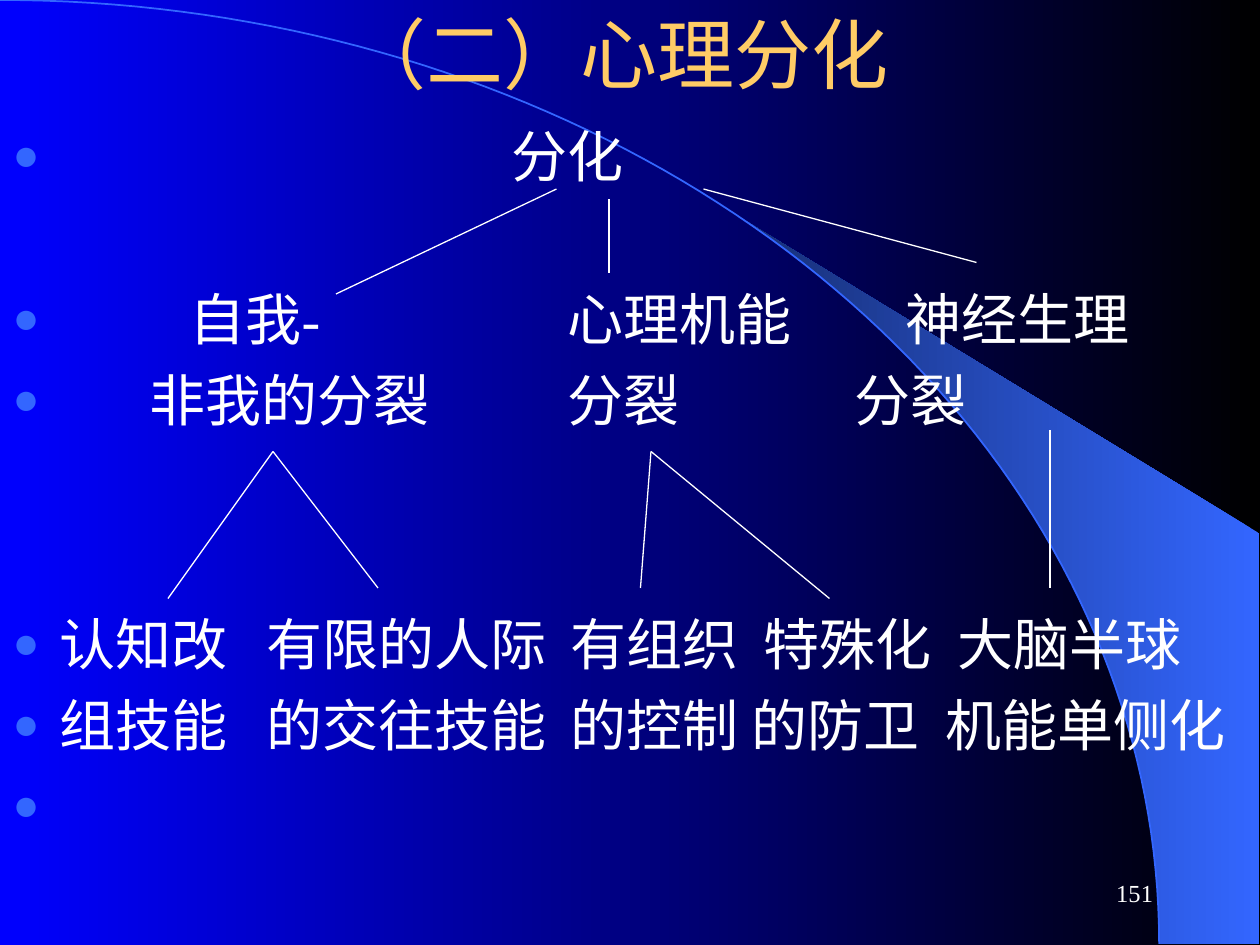
import math

import lxml.etree
import pptx
import pptx.dml.color
import pptx.enum.shapes
import pptx.enum.text
import pptx.oxml.ns
import pptx.util

Pt = pptx.util.Pt
TITLE = "（二）心理分化"
PAGE_NUMBER = "151"
ROWS = [
    (0, [(285, "分化")]),
    (54.5, [(101, "自我-"), (317, "心理机能"), (510, "神经生理")]),
    (8, [(78, "非我的分裂"), (317, "分裂"), (481, "分裂")]),
    (101, [(27, "认知改"), (145, "有限的人际"), (319, "有组织"),
           (429, "特殊化"), (540, "大脑半球")]),
    (8, [(27, "组技能"), (145, "的交往技能"), (319, "的控制"),
         (422, "的防卫"), (533, "机能单侧化")]),
    (8, []),
]
BRANCHES = [
    ((318, 108), [(192, 168)]),
    ((348, 114), [(348, 156)]),
    ((402, 108), [(558, 150)]),
    ((156, 258), [(96, 342), (216, 336)]),
    ((372, 258), [(366, 336), (474, 342)]),
    ((600, 246), [(600, 336)]),
]
ARC_WIDTH, ARC_HEIGHT = 662.4, 539.3
WEDGE_START = math.asin(424 / ARC_WIDTH)
WEDGE_CORNERS = [(719.3, 539.3), (719.3, 304.6)]
WHITE, BLUE, GOLD = "FFFFFF", "3366FF", "FFCC66"


def color(value):
    return pptx.dml.color.RGBColor.from_string(value)


def set_gradient(fill, start, end):
    fill.gradient()
    fill.gradient_angle = 180
    for stop, value in zip(fill.gradient_stops, (start, end)):
        stop.color.rgb = color(value)


def set_font(paragraph, name, size, value):
    for run in paragraph.runs:
        run.font.name = name
        run.font.size = Pt(size)
        run.font.color.rgb = color(value)


def place(shape, left, top, width, height):
    shape.left, shape.top = Pt(left), Pt(top)
    shape.width, shape.height = Pt(width), Pt(height)


def add_element(parent, tag, **attributes):
    return lxml.etree.SubElement(parent, pptx.oxml.ns.qn(tag), attributes)


def add_bullet_and_tabs(paragraph, positions):
    properties = paragraph._p.get_or_add_pPr()
    properties.set("marL", "0")
    properties.set("indent", "0")
    add_element(add_element(properties, "a:buClr"), "a:srgbClr", val=BLUE)
    add_element(properties, "a:buSzPct", val="80000")
    add_element(properties, "a:buFont", typeface="Times New Roman")
    add_element(properties, "a:buChar", char="●")
    if positions:
        tabs = add_element(properties, "a:tabLst")
        for position in positions:
            add_element(tabs, "a:tab", pos=str(Pt(position)), algn="l")


def arc_points(start, steps):
    angles = [start + (math.pi / 2 - start) * step / steps for step in range(steps + 1)]
    return [(ARC_WIDTH * math.sin(angle), ARC_HEIGHT * (1 - math.cos(angle)))
            for angle in angles]


def add_outline(slide, points, close):
    points = [(Pt(x), Pt(y)) for x, y in points]
    builder = slide.shapes.build_freeform(*points[0])
    builder.add_line_segments(points[1:], close=close)
    shape = builder.convert_to_shape()
    shape.shadow.inherit = False
    slide.shapes.title.element.addprevious(shape.element)
    return shape


def add_backdrop(slide):
    set_gradient(slide.background.fill, "000000", "0000FF")
    wedge = add_outline(slide, arc_points(WEDGE_START, 30) + WEDGE_CORNERS, True)
    set_gradient(wedge.fill, BLUE, "172F75")
    wedge.line.fill.background()
    arc = add_outline(slide, arc_points(0, 80), False)
    arc.fill.background()
    arc.line.color.rgb = color(BLUE)
    arc.line.width = Pt(1)


def add_title(slide):
    title = slide.shapes.title
    place(title, 48, 0, 612, 60)
    frame = title.text_frame
    frame.text = TITLE
    frame.auto_size = pptx.enum.text.MSO_AUTO_SIZE.NONE
    frame.vertical_anchor = pptx.enum.text.MSO_ANCHOR.MIDDLE
    frame.paragraphs[0].alignment = pptx.enum.text.PP_ALIGN.CENTER
    set_font(frame.paragraphs[0], "Arial", 44, GOLD)


def add_rows(slide):
    body = slide.placeholders[1]
    place(body, 0, 66, 720, 474)
    frame = body.text_frame
    frame.auto_size = pptx.enum.text.MSO_AUTO_SIZE.NONE
    for index, (space, cells) in enumerate(ROWS):
        paragraph = frame.add_paragraph() if index else frame.paragraphs[0]
        paragraph.text = "".join("\t" + text for _, text in cells) or " "
        add_bullet_and_tabs(paragraph, [position for position, _ in cells])
        paragraph.space_before = Pt(space)
        set_font(paragraph, "Times New Roman", 32, WHITE)


def add_branches(slide):
    for start, ends in BRANCHES:
        for end in ends:
            connector = slide.shapes.add_connector(
                pptx.enum.shapes.MSO_CONNECTOR.STRAIGHT,
                *(Pt(value) for value in start + end))
            connector.line.color.rgb = color(WHITE)
            connector.line.width = Pt(0.75)
            add_element(connector.element.spPr, "a:effectLst")


def add_page_number(slide):
    box = slide.shapes.add_textbox(Pt(516), Pt(492), Pt(150), Pt(36))
    frame = box.text_frame
    frame.word_wrap = True
    frame.vertical_anchor = pptx.enum.text.MSO_ANCHOR.MIDDLE
    frame.text = PAGE_NUMBER
    frame.paragraphs[0].alignment = pptx.enum.text.PP_ALIGN.RIGHT
    set_font(frame.paragraphs[0], "Times New Roman", 14, WHITE)


def main():
    presentation = pptx.Presentation()
    presentation.slide_width, presentation.slide_height = Pt(720), Pt(540)
    slide = presentation.slides.add_slide(presentation.slide_layouts[1])
    add_backdrop(slide)
    add_title(slide)
    add_rows(slide)
    add_branches(slide)
    add_page_number(slide)
    presentation.save("out.pptx")


if __name__ == "__main__":
    main()
